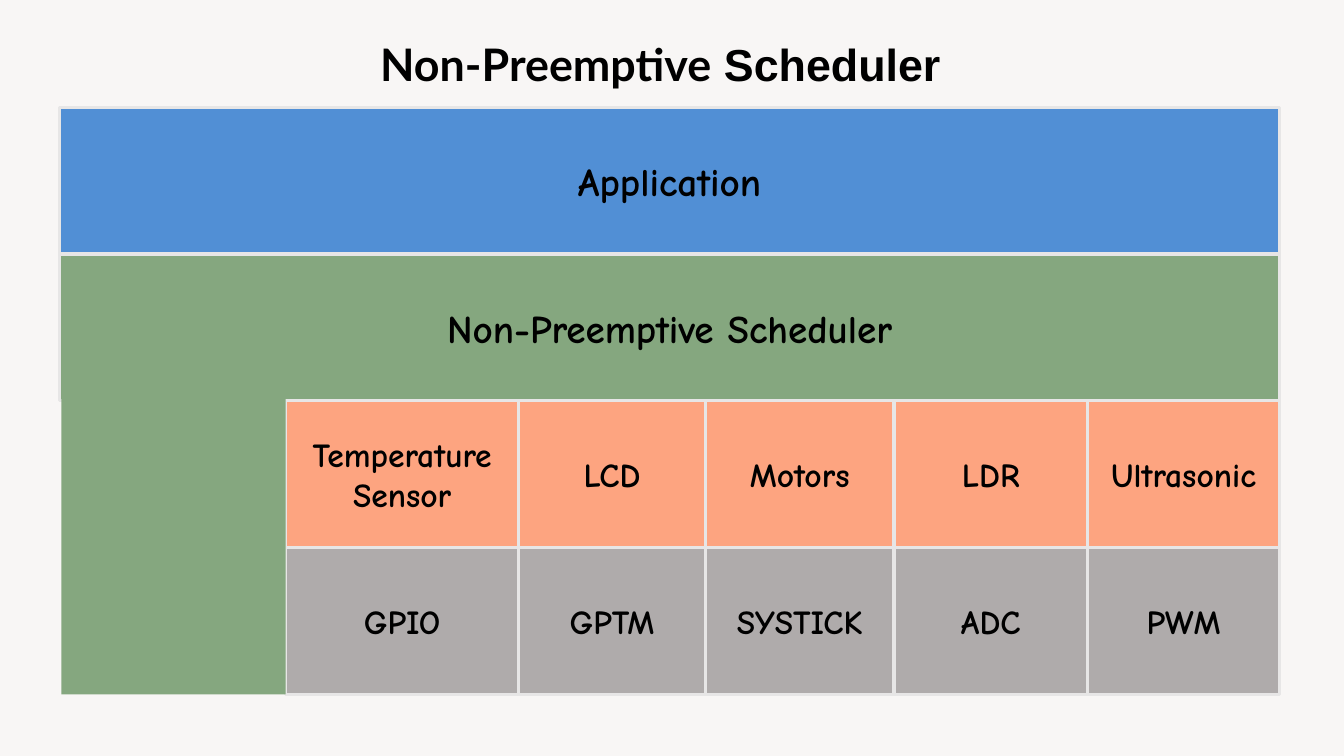
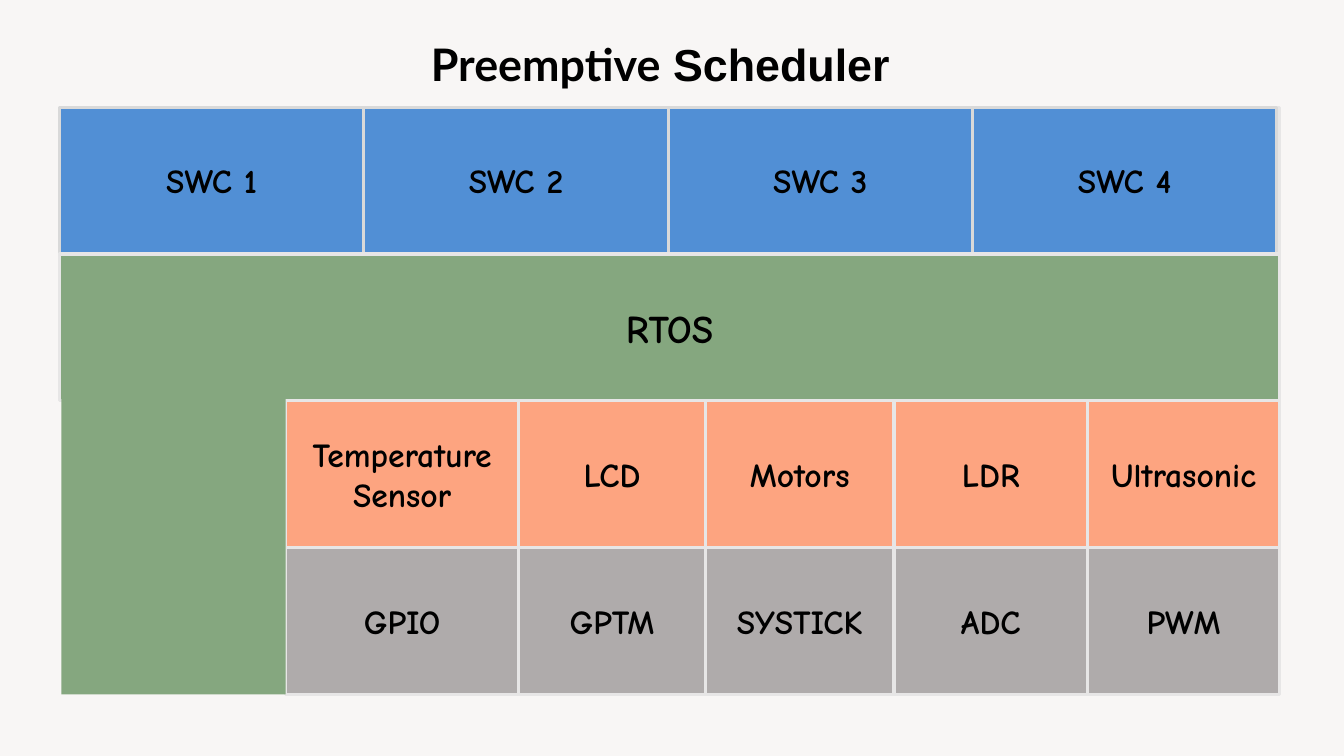
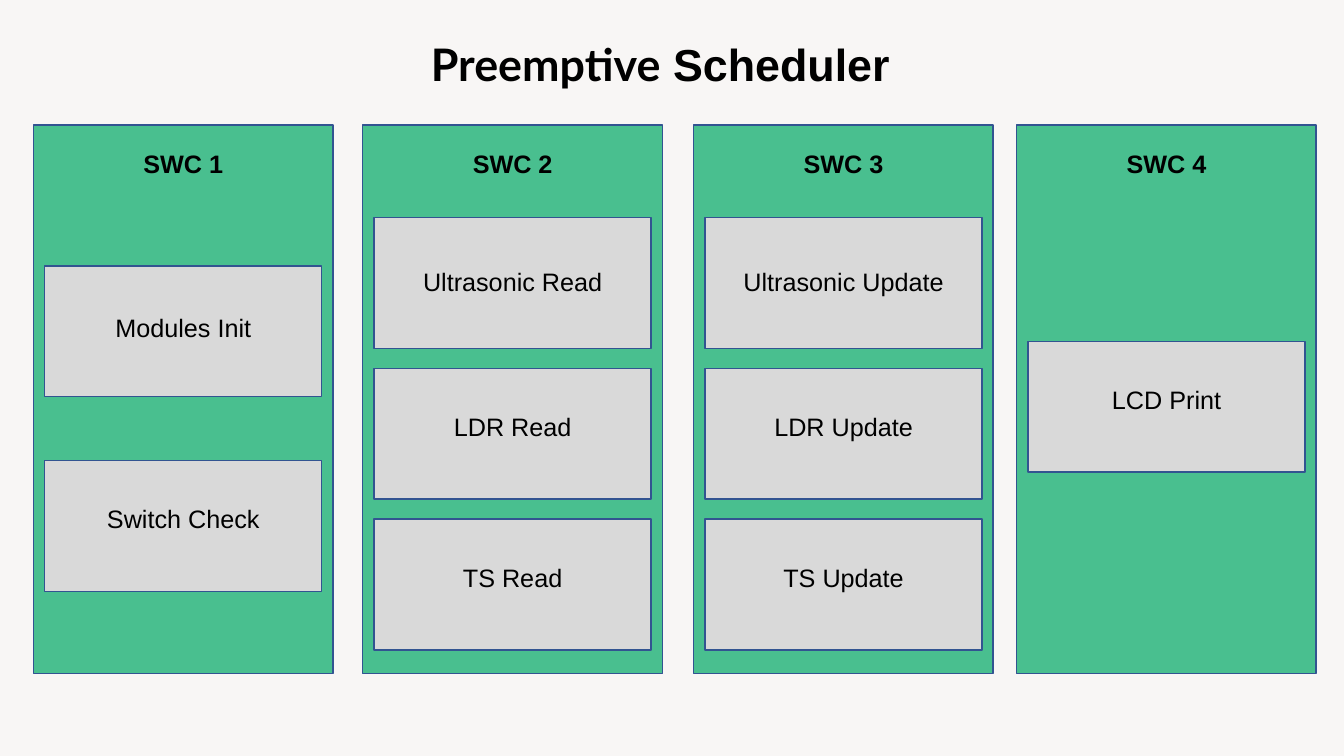
"""Build three slides on scheduler layers and tasks."""
from pptx import Presentation, util as u
from pptx.dml.color import RGBColor
from pptx.enum import shapes, text

PAPER = RGBColor(0xF8, 0xF6, 0xF5)
BLACK = RGBColor(0, 0, 0)
BLUE = RGBColor(0x51, 0x8F, 0xD5)
SAGE = RGBColor(0x85, 0xA7, 0x7F)
PEACH = RGBColor(0xFD, 0xA4, 0x80)
STONE = RGBColor(0xAF, 0xAB, 0xAB)
MINT = RGBColor(0x49, 0xBF, 0x8F)
SILVER = RGBColor(0xD9, 0xD9, 0xD9)
PEARL = RGBColor(0xE7, 0xE6, 0xE6)
NAVY = RGBColor(0x32, 0x54, 0x91)

COMIC, LATO, ARIAL = "Comic Neue", "Lato", "Arial"

LEFT, WIDE = 1.5, 30.75
TOP, ROW = 2.7, 3.7
EDGES = [7.2, 13.07, 17.78, 22.53, 27.41, 32.25]
DRIVERS = ["Temperature Sensor", "LCD", "Motors", "LDR", "Ultrasonic"]
CHIPS = ["GPIO", "GPTM", "SYSTICK", "ADC", "PWM"]
PARTS = ["SWC 1", "SWC 2", "SWC 3", "SWC 4"]
PART = 7.67


def write(frame, *words, size=24, fonts=(COMIC,), bold=True,
          anchor=text.MSO_ANCHOR.MIDDLE):
    """Write one centred line, with one font for each run."""
    frame.word_wrap = True
    frame.vertical_anchor = anchor
    para = frame.paragraphs[0]
    para.alignment = text.PP_ALIGN.CENTER
    for word, face in zip(words, fonts):
        run = para.add_run()
        run.text = word
        run.font.name = face
        run.font.size = u.Pt(size)
        run.font.bold = bold
        run.font.color.rgb = BLACK


class Deck:
    """Hold the style and the current slide."""

    def __init__(self):
        """Start an empty deck."""
        self.prs = Presentation()
        self.prs.slide_width = u.Cm(33.87)
        self.prs.slide_height = u.Cm(19.05)

    def page(self):
        """Add a slide on the paper colour."""
        self.slide = self.prs.slides.add_slide(self.prs.slide_layouts[6])
        fill = self.slide.background.fill
        fill.solid()
        fill.fore_color.rgb = PAPER
        self.host = self.slide.shapes

    def group(self):
        """Send the next elements to a new group."""
        self.host = self.slide.shapes.add_group_shape().shapes

    def box(self, x, y, w, h, fill, line=None, weight=2.25, label=None, size=24):
        """Draw a filled box with an optional label."""
        box = self.host.add_shape(shapes.MSO_SHAPE.RECTANGLE,
                                  u.Cm(x), u.Cm(y), u.Cm(w), u.Cm(h))
        box.shadow.inherit = False
        box.fill.solid()
        box.fill.fore_color.rgb = fill
        if line is None:
            box.line.fill.background()
        else:
            box.line.color.rgb = line
            box.line.width = u.Pt(weight)
        if label:
            write(box.text_frame, label, size=size)

    def label(self, x, y, w, h, *words, **style):
        """Add a text box and return its frame."""
        frame = self.host.add_textbox(u.Cm(x), u.Cm(y), u.Cm(w), u.Cm(h)).text_frame
        write(frame, *words, anchor=text.MSO_ANCHOR.TOP, **style)
        return frame

    def title(self, word):
        """Add the slide title, indented to the right."""
        frame = self.label(4.78, 0.8, 22.38, 1.62, word, " Scheduler",
                           size=32, fonts=(LATO, ARIAL))
        frame.margin_left = u.Cm(1.6)

    def band(self, row, fill, label=None):
        """Draw a layer over the full width."""
        self.box(LEFT, TOP + row * ROW, WIDE, ROW, fill, PEARL, label=label, size=28)

    def cells(self, row, names, edges, fill, line=PEARL):
        """Draw a row of labelled cells between the edges."""
        for name, x, end in zip(names, edges, edges[1:]):
            self.box(x, TOP + row * ROW, end - x, ROW, fill, line, label=name)

    def base(self, name):
        """Draw the hardware rows and the scheduler around them."""
        self.cells(3, CHIPS, EDGES, STONE)
        self.cells(2, DRIVERS, EDGES, PEACH)
        self.band(1, SAGE, name)
        self.box(1.55, 9.85, 5.65, 7.65, SAGE)

    def panel(self, x, name, tasks):
        """Draw a component with its tasks as (name, top, text top)."""
        self.group()
        self.box(x, 3.15, 7.55, 13.82, MINT, NAVY, 1)
        x += 0.29
        self.label(x, 3.61, 6.98, 1.02, name, size=18, fonts=(ARIAL,))
        for task, y, drop in tasks:
            self.box(x, y, 6.98, 3.3, SILVER, NAVY, 1)
            self.label(x, y + drop, 6.98, 1.02, task,
                       size=18, fonts=(ARIAL,), bold=False)


def trio(verb):
    """List the three sensor tasks for a verb."""
    return [(f"{name} {verb}", 5.48 + 3.8 * i, 0.97 if i else 1.1)
            for i, name in enumerate(["Ultrasonic", "LDR", "TS"])]


def main():
    """Build and save the deck."""
    deck = Deck()

    deck.page()
    deck.band(0, BLUE, "Application")
    deck.title("Non-Preemptive")
    deck.base("Non-Preemptive Scheduler")

    deck.page()
    deck.band(0, BLUE)
    deck.title("Preemptive")
    deck.cells(0, PARTS, [LEFT + PART * i for i in range(5)], BLUE, SILVER)
    deck.base("RTOS")

    deck.page()
    deck.title("Preemptive")
    tasks = [
        [("Modules Init", 6.7, 1.05), ("Switch Check", 11.6, 0.97)],
        trio("Read"),
        trio("Update"),
        [("LCD Print", 8.6, 0.97)],
    ]
    for x, name, jobs in zip([0.84, 9.14, 17.48, 25.62], PARTS, tasks):
        deck.panel(x, name, jobs)

    deck.prs.save("out.pptx")


if __name__ == "__main__":
    main()
